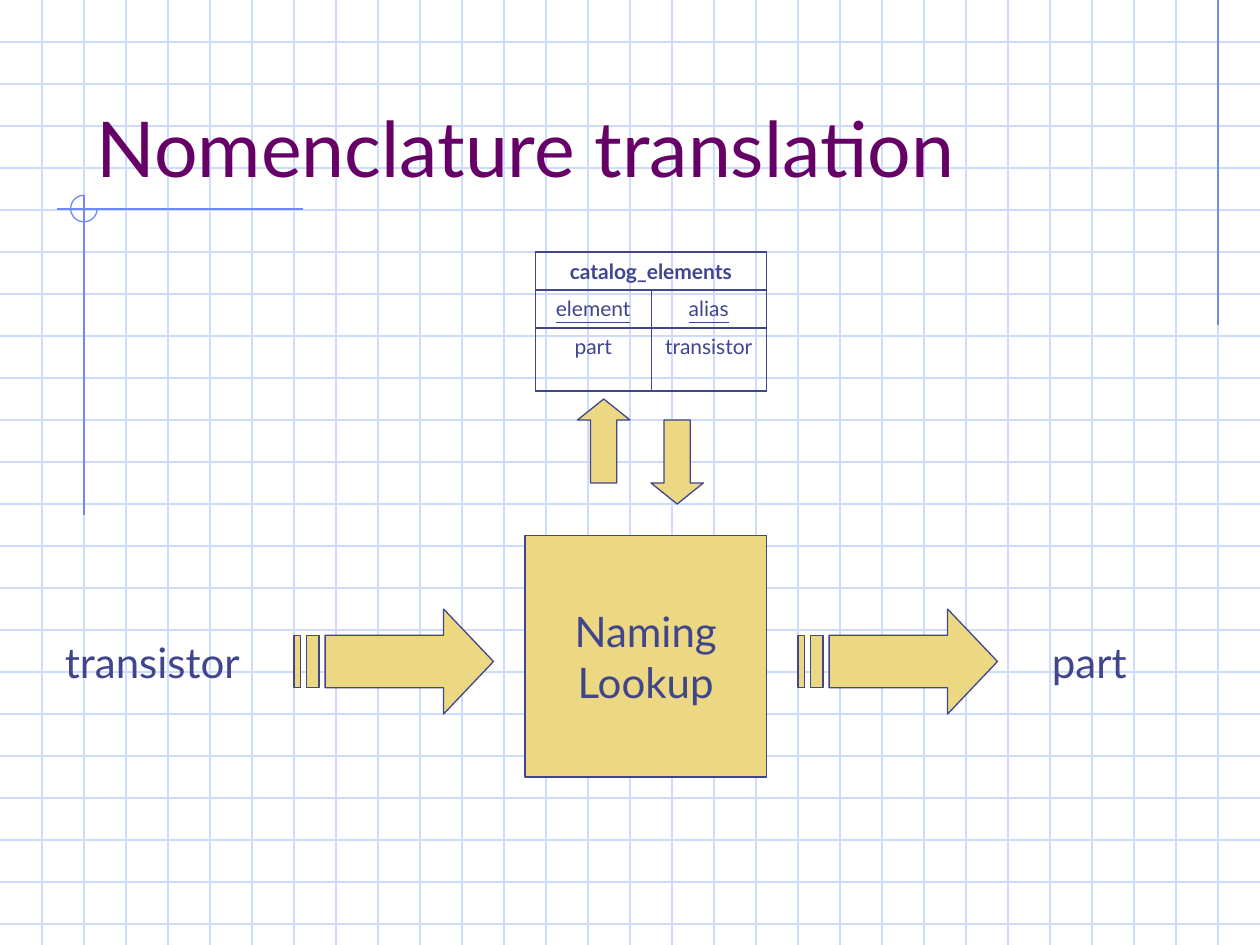
"""Build the nomenclature translation slide: a naming lookup backed by an alias table."""
import lxml.etree
import pptx
import pptx.dml.color
import pptx.enum.shapes
import pptx.enum.text
import pptx.oxml.ns
import pptx.util

Pt = pptx.util.Pt
RGBColor = pptx.dml.color.RGBColor
Shape = pptx.enum.shapes.MSO_SHAPE
Align = pptx.enum.text.PP_ALIGN
Anchor = pptx.enum.text.MSO_ANCHOR
qn = pptx.oxml.ns.qn

GRID = RGBColor(0xCF, 0xDB, 0xFD)
ACCENT = RGBColor(0x6F, 0x89, 0xF7)
PURPLE = RGBColor(0x66, 0x00, 0x66)
INK = RGBColor(0x40, 0x45, 0x8C)
SAND = RGBColor(0xEC, 0xD8, 0x82)

WIDTH, HEIGHT, GRID_STEP = 720, 540, 24
THIN, OUTER, INNER = 0.75, 1.08, 0.45

TITLE = ("Nomenclature translation", (48, 24, 612, 90))
ACCENT_LINES = [(696, 0, 696, 186), (173, 119.5, 32.5, 119.5), (48, 111.5, 48, 294.5)]
ACCENT_ARC = (40.4, 111.6, 15.2, 15.2)
LOOKUP = (["Naming", "Lookup"], (300, 306, 138, 138))
STRIPED_ARROWS = [(168, 348, 114, 60), (456, 348, 114, 60)]
BLOCK_ARROWS = [(Shape.UP_ARROW, (330, 228, 30, 48)), (Shape.DOWN_ARROW, (372, 240, 30, 48))]
LABELS = [("part", (594, 360, 72, 36)), ("transistor", (30, 360, 120, 65))]
TABLE_PLACE = (306, 144, 132, 79.2)
ROW_HEIGHTS = [21.6, 21.6, 36]
ROWS = [
    (["catalog_elements"], {"bold": True, "underline": False}),
    (["element", "alias"], {"bold": False, "underline": True}),
    (["part", "transistor"], {"bold": False, "underline": False}),
]


def points(values):
    return [Pt(value) for value in values]


def write(frame, lines, size, color=INK, align=Align.LEFT, **formats):
    frame.text = "\n".join(lines)
    for para in frame.paragraphs:
        para.alignment = align
        for span in para.runs:
            for name, value in {"name": "Lato", "size": Pt(size), **formats}.items():
                setattr(span.font, name, value)
            span.font.color.rgb = color


def draw_line(page, ends, color):
    connector = page.shapes.add_connector(pptx.enum.shapes.MSO_CONNECTOR.STRAIGHT, *points(ends))
    connector.line.color.rgb = color
    connector.line.width = Pt(THIN)
    lxml.etree.SubElement(connector.element.spPr, qn("a:effectLst"))


def paint(shape, line=INK, fill=SAND):
    shape.shadow.inherit = False
    shape.line.color.rgb = line
    shape.line.width = Pt(THIN)
    if fill is None:
        shape.fill.background()
    else:
        shape.fill.solid()
        shape.fill.fore_color.rgb = fill
    return shape


def draw_background(page):
    for y in range(GRID_STEP, HEIGHT, GRID_STEP):
        draw_line(page, (0, y, WIDTH, y), GRID)
    for x in range(GRID_STEP, WIDTH, GRID_STEP):
        draw_line(page, (x, 0, x, HEIGHT), GRID)
    for ends in ACCENT_LINES:
        draw_line(page, ends, ACCENT)
    arc = paint(page.shapes.add_shape(Shape.ARC, *points(ACCENT_ARC)), ACCENT, None)
    arc.adjustments[0], arc.adjustments[1] = 0, 162


def draw_title(page):
    text, place = TITLE
    title = page.shapes.title
    title.left, title.top, title.width, title.height = points(place)
    title.text_frame.auto_size = pptx.enum.text.MSO_AUTO_SIZE.NONE
    title.text_frame.vertical_anchor = Anchor.BOTTOM
    write(title.text_frame, [text], 44, PURPLE)
    title.element.getparent().append(title.element)


def draw_striped_arrow(page, place):
    left, top, width, height = place
    outlines = [
        [(5 / 32, 0.25), (0.75, 0.25), (0.75, 0), (1, 0.5), (0.75, 1), (0.75, 0.75), (5 / 32, 0.75)]
    ]
    for start, end in [(0, 1 / 32), (1 / 16, 1 / 8)]:
        outlines.append([(start, 0.25), (end, 0.25), (end, 0.75), (start, 0.75)])
    builder = None
    for outline in outlines:
        first, *rest = [(Pt(left + x * width), Pt(top + y * height)) for x, y in outline]
        if builder is None:
            builder = page.shapes.build_freeform(*first)
        else:
            builder.move_to(*first)
        builder.add_line_segments(rest, close=True)
    paint(builder.convert_to_shape())


def set_borders(cell, widths):
    properties = cell._tc.get_or_add_tcPr()
    for position, (side, width) in enumerate(widths.items()):
        border = lxml.etree.Element(qn(f"a:ln{side}"), w=str(Pt(width)))
        fill = lxml.etree.SubElement(border, qn("a:solidFill"))
        lxml.etree.SubElement(fill, qn("a:srgbClr"), val=str(INK))
        properties.insert(position, border)


def draw_table(page):
    table = page.shapes.add_table(len(ROWS), 2, *points(TABLE_PLACE)).table
    table.first_row = table.horz_banding = False
    for row, height in zip(table.rows, ROW_HEIGHTS):
        row.height = Pt(height)
    table.cell(0, 0).merge(table.cell(0, 1))
    for row, (texts, formats) in enumerate(ROWS):
        for column in range(2):
            cell = table.cell(row, column)
            cell.fill.background()
            left, right = (OUTER, INNER) if column == 0 else (INNER, OUTER)
            if cell.is_merge_origin or cell.is_spanned:
                left = right = OUTER
            set_borders(cell, {"L": left, "R": right, "T": OUTER, "B": OUTER})
            if column < len(texts):
                write(cell.text_frame, [texts[column]], 12, align=Align.CENTER, **formats)


def main():
    deck = pptx.Presentation()
    deck.slide_width, deck.slide_height = points((WIDTH, HEIGHT))
    page = deck.slides.add_slide(deck.slide_layouts[5])
    draw_background(page)
    draw_title(page)

    lines, place = LOOKUP
    box = paint(page.shapes.add_shape(Shape.FLOWCHART_PROCESS, *points(place)))
    box.text_frame.word_wrap = False
    box.text_frame.vertical_anchor = Anchor.MIDDLE
    write(box.text_frame, lines, 24, align=Align.CENTER)

    for place in STRIPED_ARROWS:
        draw_striped_arrow(page, place)
    draw_table(page)
    for text, place in LABELS:
        label = page.shapes.add_textbox(*points(place))
        label.text_frame.word_wrap = True
        write(label.text_frame, [text], 24)
    for kind, place in BLOCK_ARROWS:
        arrow = paint(page.shapes.add_shape(kind, *points(place)))
        arrow.adjustments[0], arrow.adjustments[1] = 0.5, 0.4
    deck.save("out.pptx")


if __name__ == "__main__":
    main()
